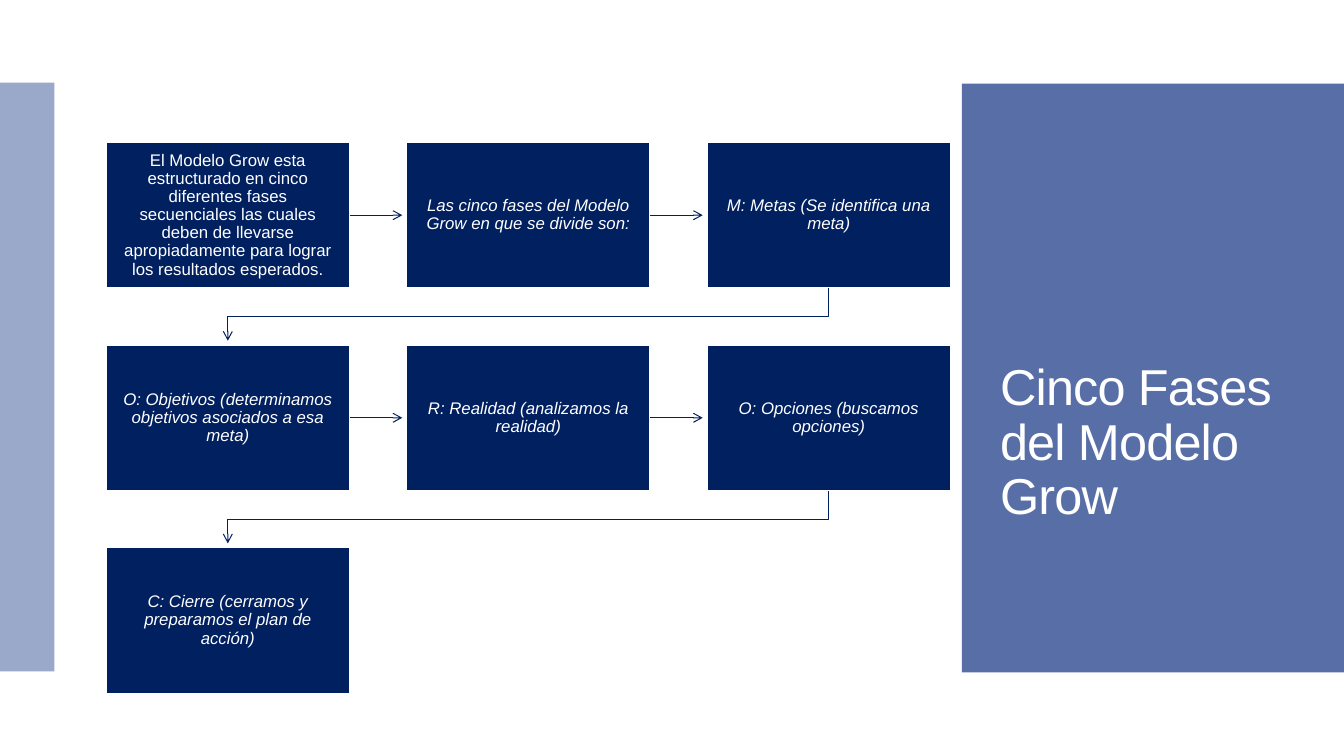
from pptx import Presentation
from pptx.dml.color import RGBColor
from pptx.enum.shapes import MSO_CONNECTOR, MSO_SHAPE
from pptx.enum.text import MSO_ANCHOR, PP_ALIGN
from pptx.oxml.ns import qn
from pptx.util import Inches, Pt
from lxml import etree

WHITE = RGBColor(0xFF, 0xFF, 0xFF)
NAVY = RGBColor(0x00, 0x20, 0x60)
PANEL_BLUE = RGBColor(0x58, 0x6E, 0xA6)
FONT = "Arial"
RECTANGLE = MSO_SHAPE.RECTANGLE
STRAIGHT = MSO_CONNECTOR.STRAIGHT
MIDDLE = MSO_ANCHOR.MIDDLE
LEFT, CENTER = PP_ALIGN.LEFT, PP_ALIGN.CENTER
RIGHT_SIDE = 3

COLUMNS = 3
GRID_LEFT, GRID_TOP = 1.05, 1.41
STEP_X, STEP_Y = 2.98, 2.01
BOX_WIDTH, BOX_HEIGHT = 2.42, 1.45
ARROW_GAP = 0.04
TURN_DROP = 0.28

TITLE = "Cinco Fases del Modelo Grow"
STEPS = [
    "El Modelo Grow esta estructurado en cinco diferentes fases secuenciales "
    "las cuales deben de llevarse apropiadamente para lograr los resultados "
    "esperados.",
    "Las cinco fases del Modelo Grow en que se divide son:",
    "M: Metas (Se identifica una meta)",
    "O: Objetivos (determinamos objetivos asociados a esa meta)",
    "R: Realidad (analizamos la realidad)",
    "O: Opciones (buscamos opciones)",
    "C: Cierre (cerramos y preparamos el plan de acción)",
]


def write_text(shape, text, size, align=LEFT, italic=False, spacing=None, inset=None):
    """Write one white paragraph; spacing is in hundredths of a point."""
    frame = shape.text_frame
    frame.word_wrap = True
    frame.vertical_anchor = MIDDLE
    if inset is not None:
        frame.margin_left = frame.margin_right = Inches(inset)
        frame.margin_top = frame.margin_bottom = Inches(inset)
    paragraph = frame.paragraphs[0]
    paragraph.alignment = align
    paragraph.line_spacing = 0.9
    run = paragraph.add_run()
    run.text = text
    run.font.name = FONT
    run.font.size = Pt(size)
    run.font.italic = italic
    run.font.color.rgb = WHITE
    if spacing is not None:
        run.font._element.set("spc", str(spacing))


def add_rectangle(slide, left, top, width, height, fill, opacity=None, outline=None):
    shape = slide.shapes.add_shape(
        RECTANGLE, Inches(left), Inches(top), Inches(width), Inches(height))
    shape.shadow.inherit = False
    shape.fill.solid()
    shape.fill.fore_color.rgb = fill
    if opacity is not None:
        color = shape.element.spPr.find(qn("a:solidFill")).find(qn("a:srgbClr"))
        etree.SubElement(color, qn("a:alpha")).set("val", str(opacity * 1000))
    if outline is None:
        shape.line.fill.background()
    else:
        shape.line.color.rgb = outline
        shape.line.width = Pt(1.35)
    return shape


def style_arrow(shape):
    shape.line.color.rgb = NAVY
    shape.line.width = Pt(0.75)
    outline = shape.element.spPr.find(qn("a:ln"))
    etree.SubElement(outline, qn("a:tailEnd")).set("type", "arrow")


def add_row_arrow(slide, box, next_box):
    """Arrow from a box to just before its right-hand neighbour."""
    middle = box.top + box.height // 2
    arrow = slide.shapes.add_connector(
        STRAIGHT, box.left + box.width, middle,
        next_box.left - Inches(ARROW_GAP), middle)
    arrow.begin_connect(box, RIGHT_SIDE)
    style_arrow(arrow)
    etree.SubElement(arrow.element.spPr, qn("a:effectLst"))


def add_return_arrow(slide, box, next_box):
    """Stepped arrow from the end of a row to the start of the next one."""
    start_x = box.left + box.width // 2
    end_x = next_box.left + next_box.width // 2
    start_y = box.top + box.height
    turn_y = start_y + Inches(TURN_DROP)
    end_y = next_box.top - Inches(ARROW_GAP)
    builder = slide.shapes.build_freeform(start_x, start_y)
    builder.add_line_segments(
        [(start_x, turn_y), (end_x, turn_y), (end_x, end_y)], close=False)
    arrow = builder.convert_to_shape()
    arrow.shadow.inherit = False
    arrow.fill.background()
    style_arrow(arrow)


def add_step(slide, index, text):
    row, column = divmod(index, COLUMNS)
    box = add_rectangle(
        slide, GRID_LEFT + column * STEP_X, GRID_TOP + row * STEP_Y,
        BOX_WIDTH, BOX_HEIGHT, NAVY, outline=WHITE)
    write_text(box, text, 12, align=CENTER, italic=index > 0, inset=0.12)
    return box


def add_title(slide):
    title = slide.shapes.add_textbox(
        Inches(9.82), Inches(2.56), Inches(3.22), Inches(3.69))
    write_text(title, TITLE, 36, spacing=-60)


def main():
    presentation = Presentation()
    presentation.slide_width = Inches(13.33)
    presentation.slide_height = Inches(7.5)
    slide = presentation.slides.add_slide(presentation.slide_layouts[6])

    add_rectangle(slide, 9.54, 0.83, 3.79, 5.84, PANEL_BLUE)
    add_rectangle(slide, 0, 0.82, 0.54, 5.84, PANEL_BLUE, opacity=60)
    add_title(slide)

    boxes = [add_step(slide, index, text) for index, text in enumerate(STEPS)]
    for box, next_box in zip(boxes, boxes[1:]):
        if box.top == next_box.top:
            add_row_arrow(slide, box, next_box)
        else:
            add_return_arrow(slide, box, next_box)

    presentation.save("out.pptx")


if __name__ == "__main__":
    main()
